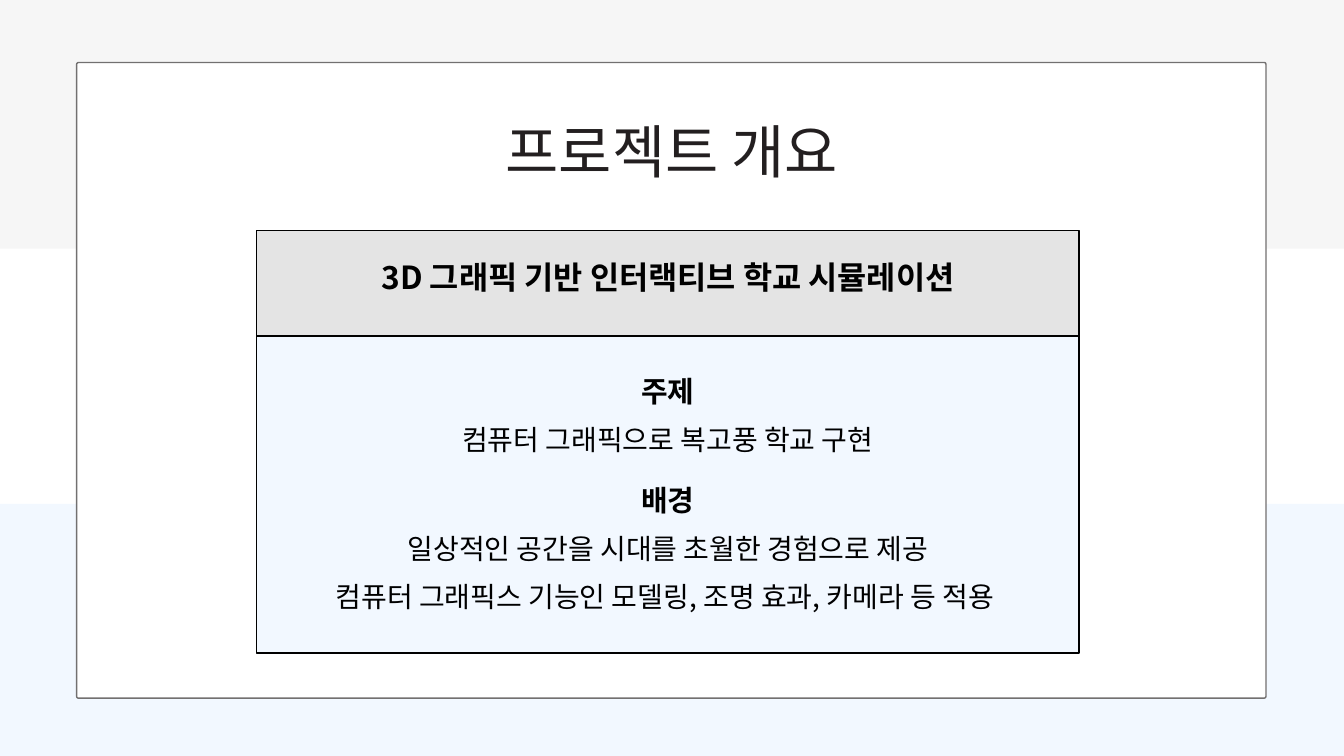
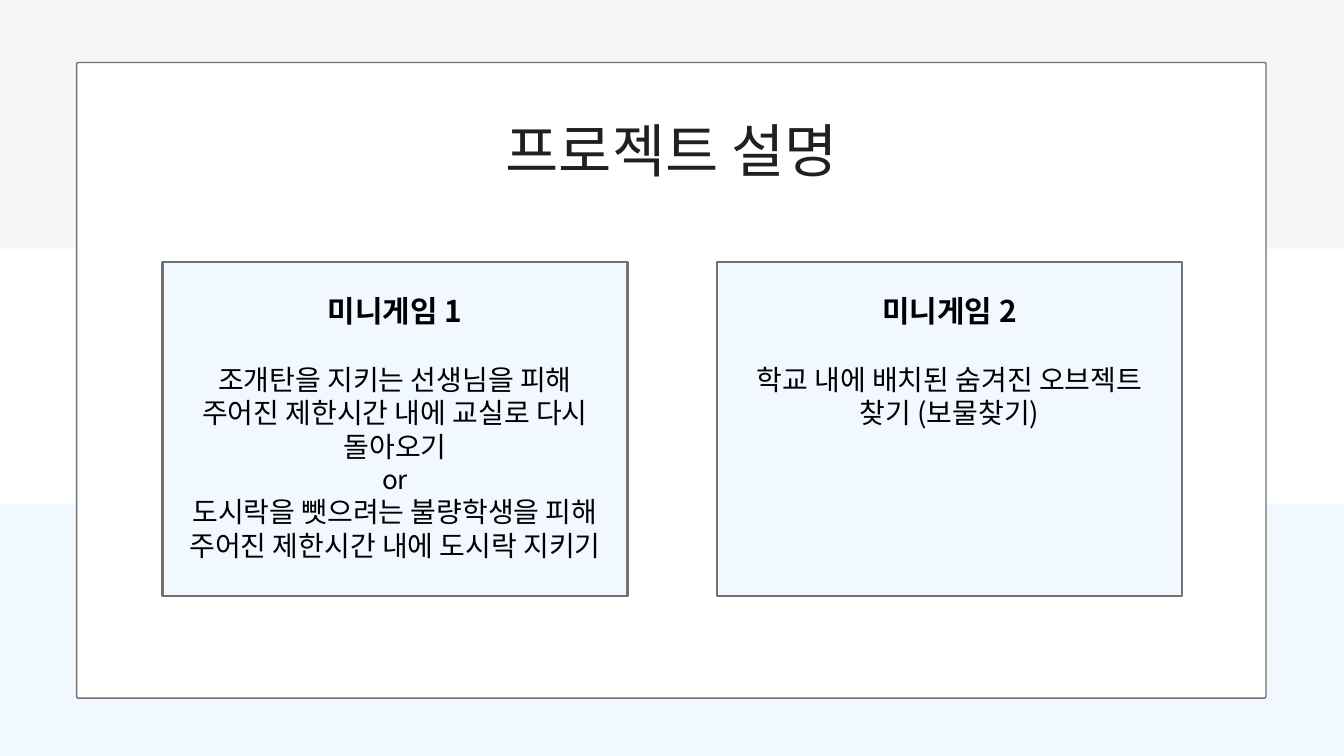
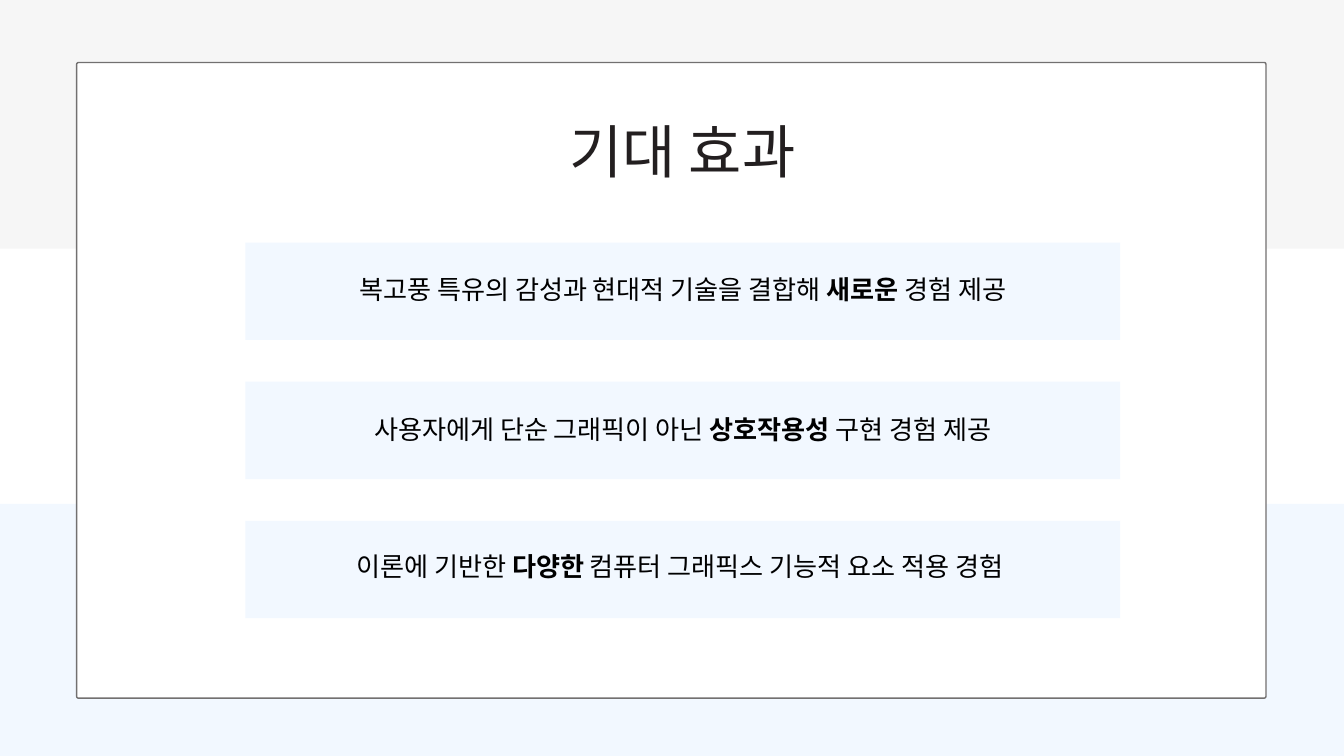
import dataclasses

import pptx
import pptx.dml.color
import pptx.enum.shapes
import pptx.enum.text
import pptx.oxml
import pptx.oxml.ns
import pptx.util

Inches = pptx.util.Inches
Shape = pptx.enum.shapes.MSO_SHAPE
Anchor = pptx.enum.text.MSO_ANCHOR


@dataclasses.dataclass(frozen=True)
class Theme:
    font: str = "Noto Sans CJK KR"
    ink: str = "000000"
    title: str = "231F20"
    white: str = "FFFFFF"
    gray: str = "F4F4F4"
    head: str = "E4E4E4"
    blue: str = "F2F8FF"
    edge: str = "727070"
    title_size: int = 62
    head_size: int = 34
    game_size: int = 32
    topic_size: int = 31
    body_size: int = 30
    or_size: int = 28
    card_size: int = 28


@dataclasses.dataclass
class Line:
    """One paragraph; runs are (text, bold) pairs."""
    runs: list
    size: float
    pitch: float = 0
    before: float = 0
    color: str = Theme.ink


def paint(color):
    return pptx.dml.color.RGBColor.from_string(color)


# Boxes, with an optional outline (colour, points)
def add_box(slide, spot, fill, edge=None, kind=Shape.RECTANGLE):
    box = slide.shapes.add_shape(kind, *map(Inches, spot))
    box.shadow.inherit = False
    box.fill.solid()
    box.fill.fore_color.rgb = paint(fill)
    if edge:
        color, width = edge
        box.line.color.rgb = paint(color)
        box.line.width = pptx.util.Pt(width)
    else:
        box.line.fill.background()
    return box


def fade(box, percent):
    tone = box.fill._xPr.find(".//" + pptx.oxml.ns.qn("a:srgbClr"))
    alpha = pptx.oxml.parse_xml(
        f'<a:alpha {pptx.oxml.ns.nsdecls("a")} val="{percent * 1000}"/>')
    tone.append(alpha)


# Text
def style(run, size, bold, color):
    font = run.font
    font.name = THEME.font
    font.size = pptx.util.Pt(size)
    font.bold = bold
    font.color.rgb = paint(color)
    latin = run._r.rPr.find(pptx.oxml.ns.qn("a:latin"))
    latin.addnext(pptx.oxml.parse_xml(
        f'<a:ea {pptx.oxml.ns.nsdecls("a")} typeface="{THEME.font}"/>'))


def add_text(slide, spot, lines, inset=0.0, anchor=Anchor.TOP):
    frame = slide.shapes.add_textbox(*map(Inches, spot)).text_frame
    frame.word_wrap = True
    frame.vertical_anchor = anchor
    if inset is not None:
        frame.margin_left = frame.margin_right = Inches(inset)
        frame.margin_top = frame.margin_bottom = Inches(inset)
    for i, line in enumerate(lines):
        para = frame.add_paragraph() if i else frame.paragraphs[0]
        para.alignment = pptx.enum.text.PP_ALIGN.CENTER
        if line.pitch:
            para.line_spacing = pptx.util.Pt(line.pitch)
        if line.before:
            para.space_before = pptx.util.Pt(line.before)
        for text, bold in line.runs:
            run = para.add_run()
            run.text = text
            style(run, line.size, bold, line.color)


def add_label(slide, spot, line):
    add_text(slide, spot, [line], 0.06, Anchor.MIDDLE)


# Shared backdrop and title
def add_page(deck, title, left=6.05, top=1.55, width=7.9):
    slide = deck.slides.add_slide(deck.slide_layouts[6])
    fade(add_box(slide, (-0.46, -0.26, 20.69, 3.96), THEME.gray), 74)
    add_box(slide, (-0.34, 7.5, 20.69, 3.97), THEME.blue)
    panel = add_box(slide, (1.14, 0.93, 17.7, 9.46), THEME.white,
                    (THEME.edge, 1.5), Shape.ROUNDED_RECTANGLE)
    panel.adjustments[0] = 0.003
    add_text(slide, (left, top, width, 1.16),
             [Line([(title, False)], THEME.title_size, 86.8,
                   color=THEME.title)])
    return slide


# Slide 1: topic and background
def topic(text, before=0):
    return Line([(text, True)], THEME.topic_size, 52.7, before)


def detail(text):
    return Line([(text, False)], THEME.body_size, 51)


def build_outline(deck):
    slide = add_page(deck, "프로젝트 개요")
    edge = (THEME.ink, 1.5)
    add_box(slide, (3.82, 4.28, 12.24, 5.44), THEME.blue, edge)
    add_text(slide, (4.31, 5.34, 11.26, 3.71), [
        topic("주제"),
        detail("컴퓨터 그래픽으로 복고풍 학교 구현"),
        topic("배경", 13.6),
        detail("일상적인 공간을 시대를 초월한 경험으로 제공"),
        detail("컴퓨터 그래픽스 기능인 모델링, 조명 효과, 카메라 등 적용 "),
    ])
    add_box(slide, (3.82, 3.43, 12.24, 1.57), THEME.head, edge)
    add_label(slide, (3.82, 3.16, 12.24, 1.83),
              Line([("3D 그래픽 기반 인터랙티브 학교 시뮬레이션", True)],
                   THEME.head_size, 47.6))


# Slide 2: two games side by side
def build_games(deck):
    slide = add_page(deck, "프로젝트 설명", top=1.54)
    body = THEME.body_size
    games = [
        ("미니게임 1", 4.14, [
            ("조개탄을 지키는 선생님을 피해 주어진 제한시간 내에 교실로 다시 돌아오기", body),
            ("or", THEME.or_size),
            ("도시락을 뺏으려는 불량학생을 피해 주어진 제한시간 내에 도시락 지키기", body),
        ]),
        ("미니게임 2", 2.15, [
            ("학교 내에 배치된 숨겨진 오브젝트 찾기 (보물찾기)", body),
        ]),
    ]
    for i, (name, height, rules) in enumerate(games):
        left = 2.42 + 8.25 * i
        add_box(slide, (left, 3.9, 6.92, 4.97), THEME.blue, (THEME.edge, 3))
        lines = [Line([(name, True)], THEME.game_size)]
        lines += [Line([(text, False)], size) for text, size in rules]
        lines[1].before = 36
        add_text(slide, (left + 0.21, 4.31, 6.5, height), lines, None)


# Slide 3: three effects, key word in bold
def build_effects(deck):
    slide = add_page(deck, "기대 효과", left=6.24, width=7.83)
    effects = [
        (3.38, 1.76, 39.2, ("복고풍 특유의 감성과 현대적 기술을 결합해 ",
                            "새로운", " 경험 제공")),
        (5.46, 1.76, 39.2, ("사용자에게 단순 그래픽이 아닌 ",
                            "상호작용성 ", "구현 경험 제공")),
        (7.62, 1.65, 30.8, ("이론에 기반한 ", "다양한",
                            " 컴퓨터 그래픽스 기능적 요소 적용 경험 ")),
    ]
    for i, (top, height, pitch, parts) in enumerate(effects):
        add_box(slide, (3.65, 3.61 + 2.07 * i, 13.02, 1.45), THEME.blue)
        runs = list(zip(parts, (False, True, False)))
        add_label(slide, (3.65, top, 13.02, height),
                  Line(runs, THEME.card_size, pitch))


THEME = Theme()


def main():
    deck = pptx.Presentation()
    deck.slide_width, deck.slide_height = Inches(20), Inches(11.25)
    build_outline(deck)
    build_games(deck)
    build_effects(deck)
    deck.save("out.pptx")


if __name__ == "__main__":
    main()
